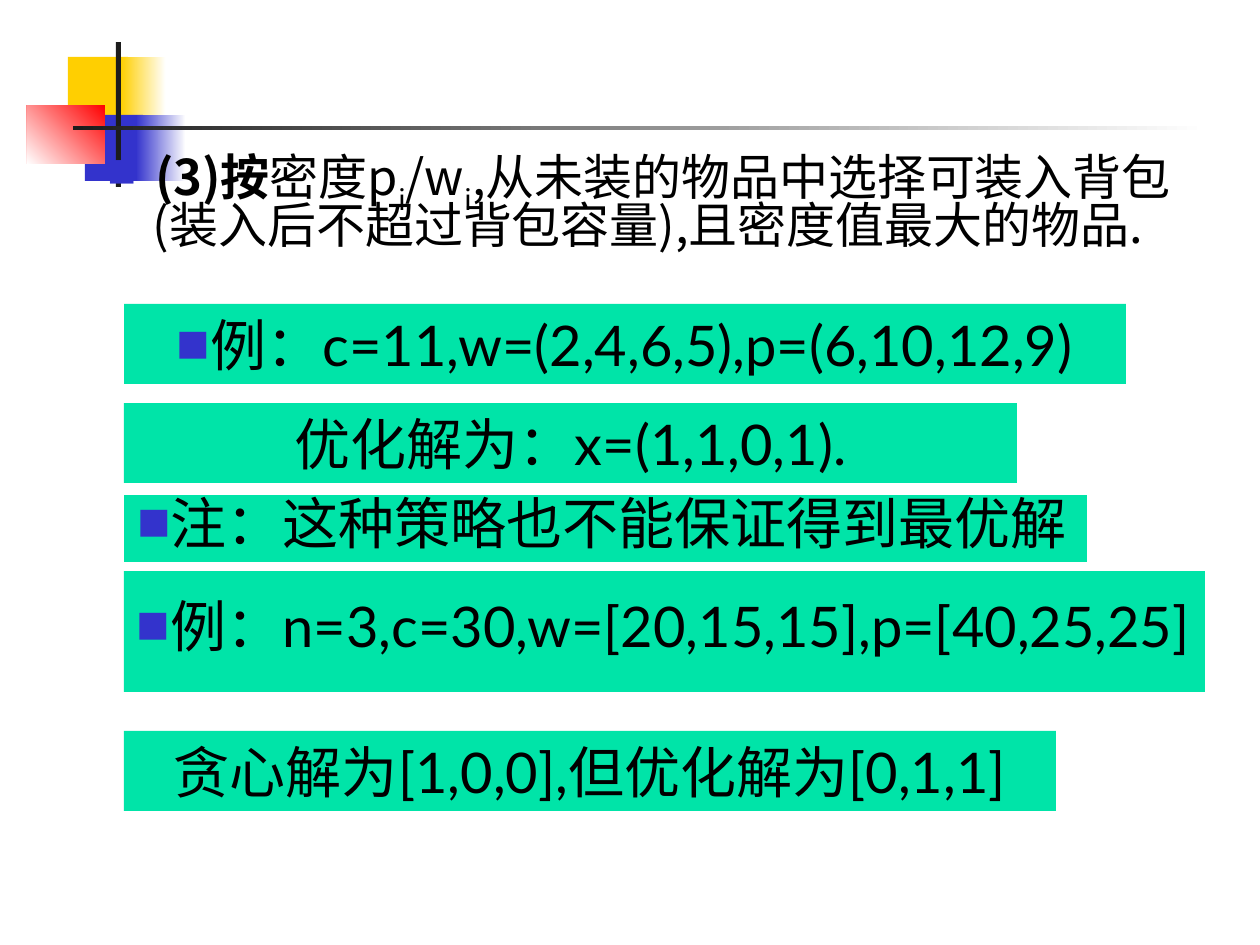
"""Build a slide on the density rule for the knapsack problem."""
from dataclasses import dataclass

from lxml import etree
from pptx import Presentation
from pptx.dml.color import RGBColor
from pptx.enum.shapes import MSO_SHAPE
from pptx.enum.text import MSO_ANCHOR, PP_ALIGN
from pptx.oxml.ns import qn
from pptx.util import Emu, Pt

RECT = MSO_SHAPE.RECTANGLE
TOP, MIDDLE = MSO_ANCHOR.TOP, MSO_ANCHOR.MIDDLE
LEFT, CENTER = PP_ALIGN.LEFT, PP_ALIGN.CENTER
BLANK = 6


@dataclass(frozen=True)
class Theme:
    yellow: str = "FFCF01"
    blue: str = "3333CC"
    red: str = "FF0000"
    dark: str = "1C1C1C"
    white: str = "FFFFFF"
    green: str = "00E4A8"
    text: str = "000000"
    latin: str = "Lato"
    cjk: str = "Noto Sans CJK SC"
    rule_size: int = 28
    box_size: int = 32


def px(n):
    return Emu(round(n * 914400 / 126))


def rgb(color):
    return RGBColor.from_string(color)


def apply(target, values):
    for name, value in values.items():
        setattr(target, name, value)


class Deck:
    def __init__(self, theme):
        self.theme = theme
        self.prs = Presentation()
        apply(self.prs, {"slide_width": px(1260), "slide_height": px(945)})
        self.s = self.prs.slides.add_slide(self.prs.slide_layouts[BLANK])

    def rect(self, at, *colors, angle=180):
        sp = self.s.shapes.add_shape(RECT, *map(px, at))
        sp.shadow.inherit = False
        sp.line.fill.background()
        if len(colors) == 1:
            sp.fill.solid()
            sp.fill.fore_color.rgb = rgb(colors[0])
        else:
            sp.fill.gradient()
            sp.fill.gradient_angle = angle
            for stop, color in zip(sp.fill.gradient_stops, colors):
                stop.color.rgb = rgb(color)
        return sp

    def frame(self, sp, anchor, top):
        tf = sp.text_frame
        apply(tf, {"word_wrap": True, "vertical_anchor": anchor,
                   "margin_left": px(13), "margin_right": px(13),
                   "margin_top": px(top), "margin_bottom": px(6)})
        return tf

    def bullet(self, p, hang):
        pPr = p._p.get_or_add_pPr()
        pPr.set("marL", str(px(hang)))
        pPr.set("indent", str(-px(hang)))
        color = etree.SubElement(pPr, qn("a:buClr"))
        etree.SubElement(color, qn("a:srgbClr"), val=self.theme.blue)
        etree.SubElement(pPr, qn("a:buSzPct"), val="60000")
        etree.SubElement(pPr, qn("a:buFont"), typeface=self.theme.cjk)
        etree.SubElement(pPr, qn("a:buChar"), char="■")

    def run(self, p, text, size, font, bold=False, baseline=0):
        r = p.add_run()
        r.text = text
        apply(r.font, {"size": Pt(size), "name": font, "bold": bold})
        r.font.color.rgb = rgb(self.theme.text)
        rPr = r.font._element
        if baseline:
            rPr.set("baseline", str(baseline * 1000))
        etree.SubElement(rPr, qn("a:ea"), typeface=self.theme.cjk)

    def rule(self, at, first, second):
        t = self.theme
        tf = self.frame(self.s.shapes.add_textbox(*map(px, at)), TOP, 10)
        p = tf.paragraphs[0]
        self.bullet(p, 48)
        p.line_spacing = 0.7
        for text, style in first:
            self.run(p, text, t.rule_size, t.cjk, **style)
        p = tf.add_paragraph()
        apply(p, {"line_spacing": 0.7, "space_before": Pt(3)})
        p._p.get_or_add_pPr().set("marL", str(px(46)))
        self.run(p, second, t.rule_size, t.cjk)

    def box(self, at, text, align, spacing, bulleted):
        t = self.theme
        tf = self.frame(self.rect(at, t.green), MIDDLE, 6)
        p = tf.paragraphs[0]
        if bulleted:
            self.bullet(p, 30)
        apply(p, {"alignment": align, "line_spacing": spacing})
        self.run(p, text, t.box_size, t.latin)


def main():
    t = Theme()
    deck = Deck(t)

    deck.rect((68, 57, 60, 66), t.yellow)
    deck.rect((121, 57, 45, 66), t.white, t.yellow)
    deck.rect((85, 115, 58, 66), t.blue)
    deck.rect((136, 115, 50, 66), t.white, t.blue)
    deck.rect((27, 105, 78, 59), t.red, t.white, angle=225)
    deck.rect((116, 42, 5, 145), t.dark)
    deck.rect((73, 126, 1134, 4), t.white, t.dark)

    sub = {"baseline": -30}
    deck.rule((94, 147, 1166, 534), [
        ("(3)按", {"bold": True}), ("密度p", {}), ("i", sub), ("/w", {}),
        ("i", sub), (",从未装的物品中选择可装入背包", {}),
    ], "(装入后不超过背包容量),且密度值最大的物品.")

    boxes = [
        (304, 1002, 80, "例：c=11,w=(2,4,6,5),p=(6,10,12,9)", CENTER, 1.0, True),
        (403, 893, 80, "优化解为：x=(1,1,0,1).", CENTER, 1.0, False),
        (495, 963, 67, "注：这种策略也不能保证得到最优解", LEFT, 0.8, True),
        (571, 1081, 121, "例：n=3,c=30,w=[20,15,15],p=[40,25,25]", LEFT, 0.8, True),
        (731, 932, 80, "贪心解为[1,0,0],但优化解为[0,1,1]", CENTER, 1.0, False),
    ]
    for y, w, h, text, align, spacing, bulleted in boxes:
        deck.box((124, y, w, h), text, align, spacing, bulleted)

    deck.prs.save("out.pptx")


if __name__ == "__main__":
    main()
